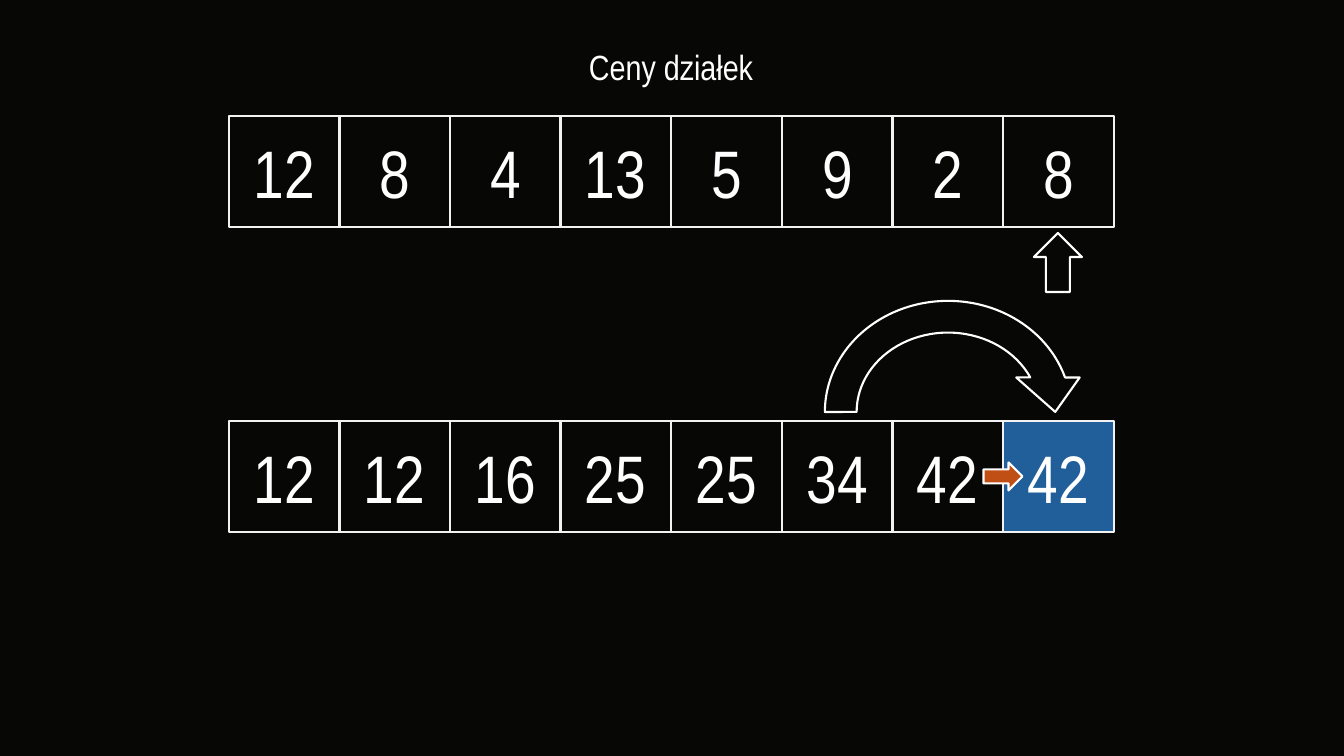
import pptx
import pptx.util
import pptx.dml.color
import pptx.enum.shapes
import pptx.enum.text

SCALE = 12192000 / 1344
BLACK = pptx.dml.color.RGBColor(0x07, 0x07, 0x06)
WHITE = pptx.dml.color.RGBColor(0xFF, 0xFF, 0xFF)
GREY = pptx.dml.color.RGBColor(0xF2, 0xF2, 0xF2)
BLUE = pptx.dml.color.RGBColor(0x21, 0x5F, 0x9A)
ORANGE = pptx.dml.color.RGBColor(0xC0, 0x4F, 0x15)

MSO = pptx.enum.shapes.MSO_SHAPE
ANCHOR = pptx.enum.text.MSO_ANCHOR
AUTO = pptx.enum.text.MSO_AUTO_SIZE

ROW_LEFT, ROW_WIDTH, CELL = 229, 885, 111
ROWS = [
    (116, [12, 8, 4, 13, 5, 9, 2, 8], None),
    (421, [12, 12, 16, 25, 25, 34, 42, 42], BLUE),
]
ARROWS = [
    (MSO.CIRCULAR_ARROW, (809, 285, 278, 254), None, 0),
    (MSO.UP_ARROW, (1034, 233, 48, 59), None, 0),
    (MSO.UP_ARROW, (989, 457, 28, 39), ORANGE, 90),
]


def add_shape(kind, box, fill, line):
    sp = s.shapes.add_shape(kind, *[round(v * SCALE) for v in box])
    sp.shadow.inherit = False
    if fill is None:
        sp.fill.background()
    else:
        sp.fill.solid()
        sp.fill.fore_color.rgb = fill
    sp.line.color.rgb = line
    sp.line.width = pptx.util.Pt(1.5)
    return sp


def set_text(sp, text, size, frame):
    tf = sp.text_frame
    for name, value in frame.items():
        setattr(tf, name, value)
    p = tf.paragraphs[0]
    p.alignment = pptx.enum.text.PP_ALIGN.CENTER
    r = p.add_run()
    r.text = text
    font = {"name": "Arial Narrow", "size": pptx.util.Pt(size)}
    for name, value in font.items():
        setattr(r.font, name, value)
    r.font.color.rgb = WHITE


prs = pptx.Presentation()
prs.slide_width = round(1344 * SCALE)
prs.slide_height = round(756 * SCALE)
s = prs.slides.add_slide(prs.slide_layouts[6])
s.background.fill.solid()
s.background.fill.fore_color.rgb = BLACK

title = s.shapes.add_textbox(*[round(v * SCALE) for v in (-1, 41, 1344, 52)])
set_text(title, "Ceny działek", 25, {"word_wrap": True, "auto_size": AUTO.SHAPE_TO_FIT_TEXT})

for top, values, last_fill in ROWS:
    for i, value in enumerate(values):
        left = ROW_LEFT + ROW_WIDTH * i // len(values)
        fill = last_fill if i == len(values) - 1 else None
        cell = add_shape(MSO.RECTANGLE, (left, top, CELL, CELL), fill, GREY)
        set_text(cell, str(value), 48, {"word_wrap": True, "vertical_anchor": ANCHOR.MIDDLE})

for kind, box, fill, rotation in ARROWS:
    arrow = add_shape(kind, box, fill, WHITE)
    arrow.rotation = rotation

prs.save("out.pptx")
